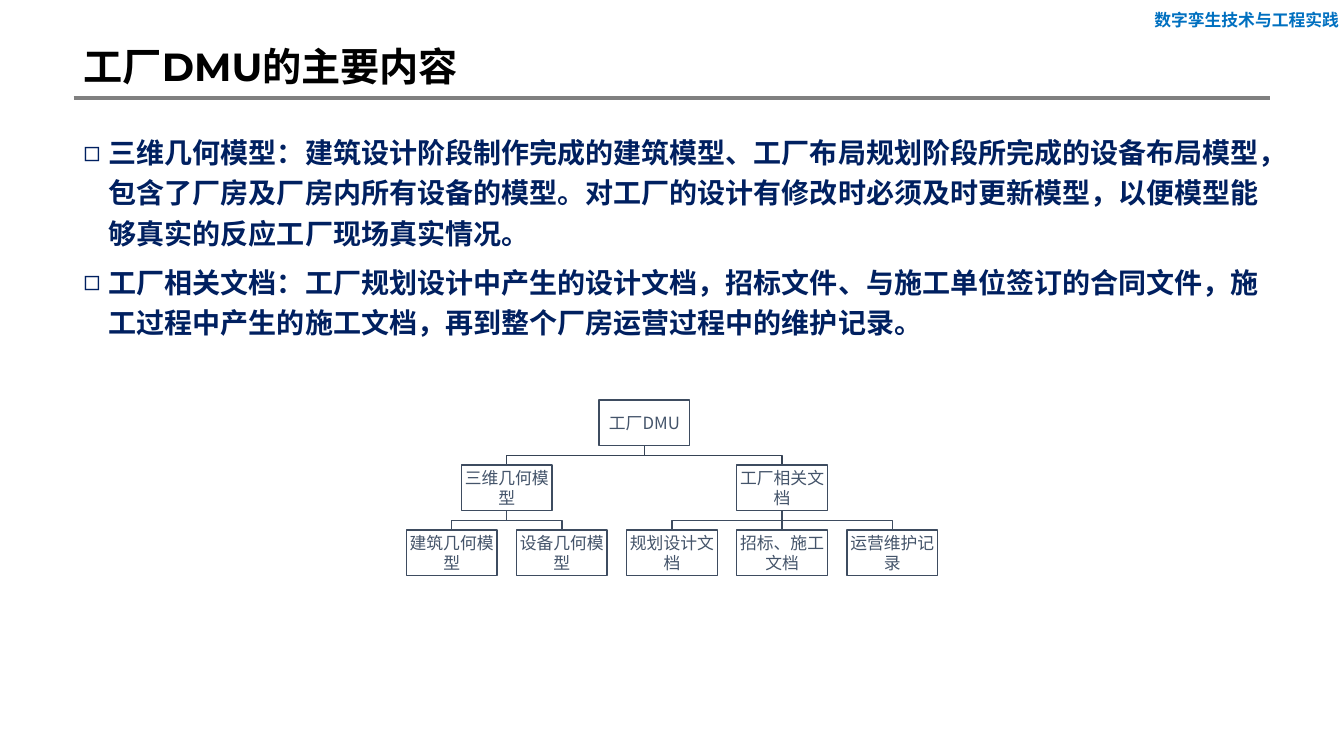
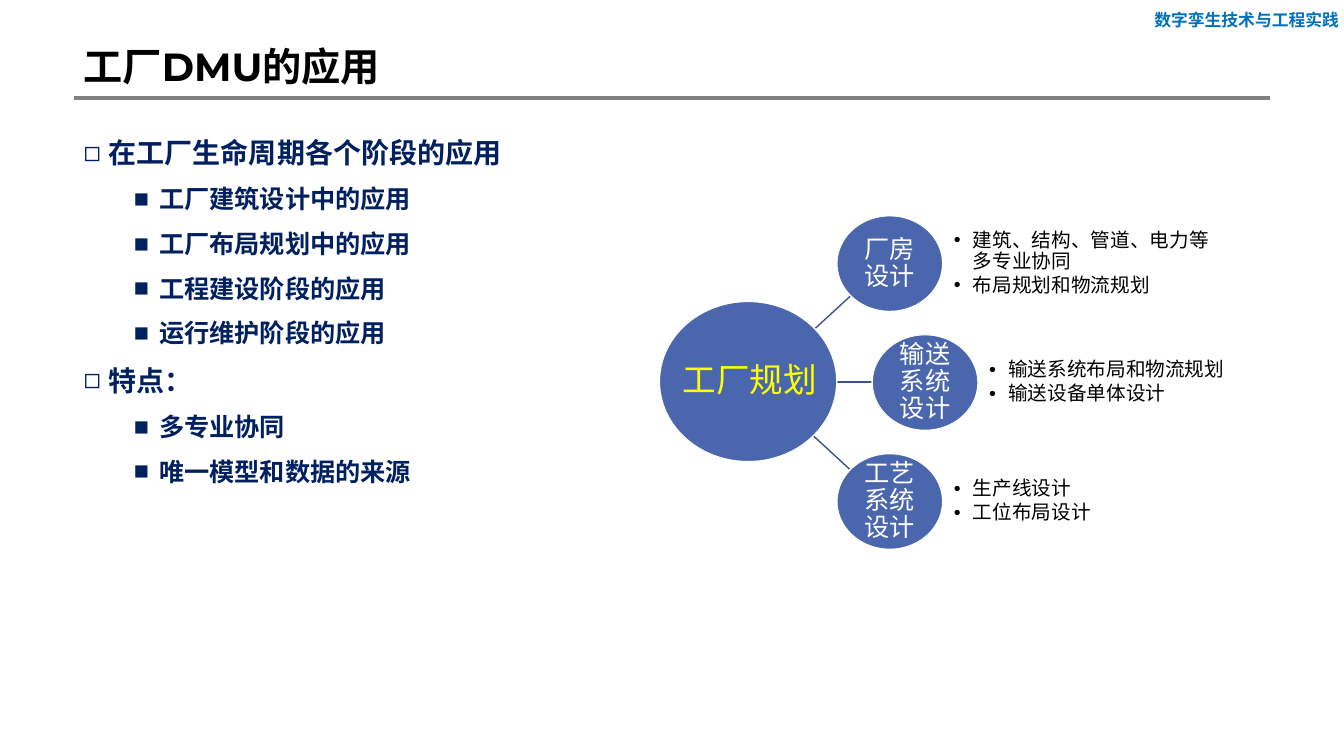
import pptx
import pptx.dml.color
import pptx.enum.shapes
import pptx.enum.text
import pptx.oxml.ns
import pptx.util
from lxml import etree

Inches = pptx.util.Inches
Pt = pptx.util.Pt
RGB = pptx.dml.color.RGBColor.from_string
SHAPE = pptx.enum.shapes.MSO_SHAPE
ANCHOR = pptx.enum.text.MSO_ANCHOR
ALIGN = pptx.enum.text.PP_ALIGN
qn = pptx.oxml.ns.qn

COLOURS = {
    "course": "0070C0", "rule": "808080", "title": "000000", "body": "002060",
    "box_line": "3E4C60", "trunk": "364355", "box_text": "44546A",
    "bubble": "4A66AC", "spoke": "3B528A", "white": "FFFFFF",
    "hub_text": "FFFF00", "note": "000000",
}
CJK = "Noto Sans CJK SC"


def write(shape, lines, colour, font=CJK, bold=False, anchor=ANCHOR.TOP,
          align=ALIGN.LEFT, spacing=1.0, before=0, after=0, inset=None, wrap=True):
    """Fill a shape with lines of (text, size, bullet, left margin, hang)."""
    frame = shape.text_frame
    frame.word_wrap = wrap
    frame.vertical_anchor = anchor
    if inset is not None:
        frame.margin_left = frame.margin_right = Inches(inset)
        frame.margin_top = frame.margin_bottom = Inches(inset)
    for index, (text, size, *bullet) in enumerate(lines):
        paragraph = frame.add_paragraph() if index else frame.paragraphs[0]
        paragraph.alignment = align
        paragraph.line_spacing = spacing
        paragraph.space_before, paragraph.space_after = Pt(before), Pt(after)
        if bullet:
            mark, margin, hang = bullet
            properties = paragraph._p.get_or_add_pPr()
            properties.set("marL", str(Inches(margin)))
            properties.set("indent", str(-Inches(hang)))
            etree.SubElement(properties, qn("a:buFont")).set("typeface", "Arial")
            etree.SubElement(properties, qn("a:buChar")).set("char", mark)
        run = paragraph.add_run()
        run.text = text
        run.font.name, run.font.size, run.font.bold = font, Pt(size), bold
        run.font.color.rgb = RGB(COLOURS[colour])
        etree.SubElement(run._r.get_or_add_rPr(), qn("a:ea")).set("typeface", CJK)


def draw_line(slide, x1, y1, x2, y2, colour, width=1):
    line = slide.shapes.add_connector(
        pptx.enum.shapes.MSO_CONNECTOR.STRAIGHT,
        Inches(x1), Inches(y1), Inches(x2), Inches(y2))
    line.line.color.rgb = RGB(COLOURS[colour])
    line.line.width = Pt(width)
    etree.SubElement(line._element.spPr, qn("a:effectLst"))


deck = pptx.Presentation()
deck.slide_width, deck.slide_height = Inches(13.33), Inches(7.5)

TOPIC = ("◻", 0.25, 0.25)
DETAIL = ("■", 0.75, 0.25)
pages = [
    ("工厂DMU的主要内容", 11.87, [
        ("三维几何模型：建筑设计阶段制作完成的建筑模型、工厂布局规划阶段所完成的设备布局模型，"
         "包含了厂房及厂房内所有设备的模型。对工厂的设计有修改时必须及时更新模型，"
         "以便模型能够真实的反应工厂现场真实情况。", 20, *TOPIC),
        ("工厂相关文档：工厂规划设计中产生的设计文档，招标文件、与施工单位签订的合同文件，"
         "施工过程中产生的施工文档，再到整个厂房运营过程中的维护记录。", 20, *TOPIC),
    ]),
    ("工厂DMU的应用", 5.48, [
        ("在工厂生命周期各个阶段的应用", 20, *TOPIC),
        ("工厂建筑设计中的应用", 18, *DETAIL),
        ("工厂布局规划中的应用", 18, *DETAIL),
        ("工程建设阶段的应用", 18, *DETAIL),
        ("运行维护阶段的应用", 18, *DETAIL),
        ("特点：", 20, *TOPIC),
        ("多专业协同", 18, *DETAIL),
        ("唯一模型和数据的来源", 18, *DETAIL),
    ]),
]

# Header, title and body text of every slide
for title, body_width, body in pages:
    slide = deck.slides.add_slide(deck.slide_layouts[6])
    course = slide.shapes.add_textbox(Inches(11.35), Inches(0.05), Inches(2.05), Inches(0.3))
    write(course, [("数字孪生技术与工程实践", 12)], "course", bold=True, wrap=False)
    draw_line(slide, 0.73, 0.97, 12.6, 0.97, "rule", 3)
    heading = slide.shapes.add_textbox(Inches(0.73), 0, Inches(11.87), Inches(0.94))
    write(heading, [(title, 28)], "title", "Montserrat", bold=True,
          anchor=ANCHOR.BOTTOM, spacing=0.9)
    points = slide.shapes.add_textbox(Inches(0.73), Inches(1.23), Inches(body_width), Inches(5.49))
    write(points, body, "body", "Arial", bold=True, spacing=1.2, before=3, after=3)

contents, applications = deck.slides

# Content tree: leaves stand in even columns, each parent is centred above its children
BOX_W, BOX_H = 0.9, 0.45
FIRST_CENTRE, LAST_CENTRE = 4.48, 8.85
ROOT_TOP, LEAF_TOP = 3.97, 5.26
branches = [
    ("三维几何模型", ["建筑几何模型", "设备几何模型"]),
    ("工厂相关文档", ["规划设计文档", "招标、施工文档", "运营维护记录"]),
]
leaf_count = sum(len(leaves) for _, leaves in branches)
column_step = (LAST_CENTRE - FIRST_CENTRE) / (leaf_count - 1)
row_step = (LEAF_TOP - ROOT_TOP) / 2
boxes, families = [], []
branch_centres = []
column = 0
for branch, leaves in branches:
    centres = [FIRST_CENTRE + column_step * (column + i) for i in range(len(leaves))]
    column += len(leaves)
    branch_centre = (centres[0] + centres[-1]) / 2
    branch_centres.append(branch_centre)
    boxes.append((branch, branch_centre, 1))
    boxes += [(leaf, centre, 2) for leaf, centre in zip(leaves, centres)]
    families.append((branch_centre, centres, 1, "box_line"))
root_centre = sum(branch_centres) / 2
boxes.append(("工厂DMU", root_centre, 0))
families.append((root_centre, branch_centres, 0, "trunk"))

for parent, children, row, colour in families:
    bottom = ROOT_TOP + row_step * row + BOX_H
    child_top = ROOT_TOP + row_step * (row + 1)
    middle = (bottom + child_top) / 2
    for child in children:
        outline = contents.shapes.build_freeform(Inches(parent), Inches(bottom))
        outline.add_line_segments(
            [(Inches(x), Inches(y))
             for x, y in [(parent, middle), (child, middle), (child, child_top)]],
            close=False)
        elbow = outline.convert_to_shape()
        elbow.shadow.inherit = False
        elbow.fill.background()
        elbow.line.color.rgb = RGB(COLOURS[colour])
        elbow.line.width = Pt(1)

for label, centre, row in boxes:
    box = contents.shapes.add_shape(
        SHAPE.RECTANGLE, Inches(centre - BOX_W / 2), Inches(ROOT_TOP + row_step * row),
        Inches(BOX_W), Inches(BOX_H))
    box.shadow.inherit = False
    box.fill.solid()
    box.fill.fore_color.rgb = RGB(COLOURS["white"])
    box.line.color.rgb = RGB(COLOURS["box_line"])
    box.line.width = Pt(1)
    write(box, [(label, 12)], "box_text", anchor=ANCHOR.MIDDLE, align=ALIGN.CENTER, inset=0.01)

# Planning hub with three satellites and their notes
BUBBLE_W, BUBBLE_H = 1.05, 0.95
satellites = [
    ("厂房设计", 8.3, 2.61, ["建筑、结构、管道、电力等多专业协同", "布局规划和物流规划"]),
    ("输送系统设计", 8.65, 2.59, ["输送系统布局和物流规划", "输送设备单体设计"]),
    ("工艺系统设计", 8.3, 1.58, ["生产线设计", "工位布局设计"]),
]
for spoke in [(8.03, 4.29, 8.53, 4.75), (8.04, 3.79, 8.79, 3.79), (8.04, 3.3, 8.54, 2.84)]:
    draw_line(applications, *spoke, "spoke")

bubbles = [("", 6.54, 2.99, 1.76, 1.59)]
for index, (label, left, note_width, notes) in enumerate(satellites):
    top = 2.14 + 1.18 * index
    bubbles.append((label, left, top, BUBBLE_W, BUBBLE_H))
    note = applications.shapes.add_shape(
        SHAPE.RECTANGLE, Inches(left + 1.16), Inches(top), Inches(note_width), Inches(BUBBLE_H))
    note.shadow.inherit = False
    note.fill.background()
    note.line.fill.background()
    write(note, [(text, 14, "•", 0.19, 0.19) for text in notes], "note", "Arial",
          anchor=ANCHOR.MIDDLE, spacing=0.9, after=2, inset=0)

for label, left, top, width, height in bubbles:
    bubble = applications.shapes.add_shape(
        SHAPE.OVAL, Inches(left), Inches(top), Inches(width), Inches(height))
    bubble.shadow.inherit = False
    bubble.fill.solid()
    bubble.fill.fore_color.rgb = RGB(COLOURS["bubble"])
    bubble.line.color.rgb = RGB(COLOURS["white"])
    bubble.line.width = Pt(1)
    if label:
        write(bubble, [(label, 18)], "white", "Arial", anchor=ANCHOR.MIDDLE,
              align=ALIGN.CENTER, spacing=0.9, inset=0.05)

hub_label = applications.shapes.add_textbox(Inches(6.67), Inches(3.51), Inches(1.65), Inches(0.51))
write(hub_label, [("工厂规划", 24)], "hub_text")

deck.save("out.pptx")
